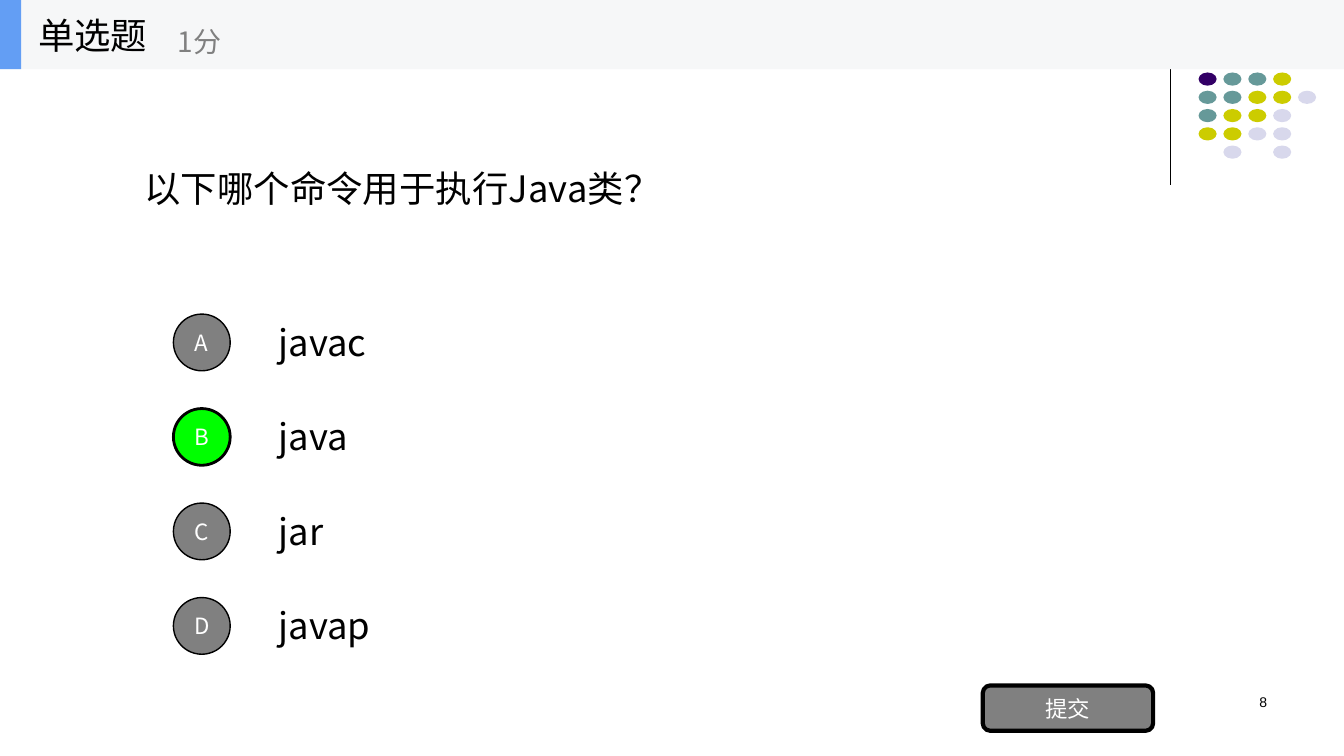
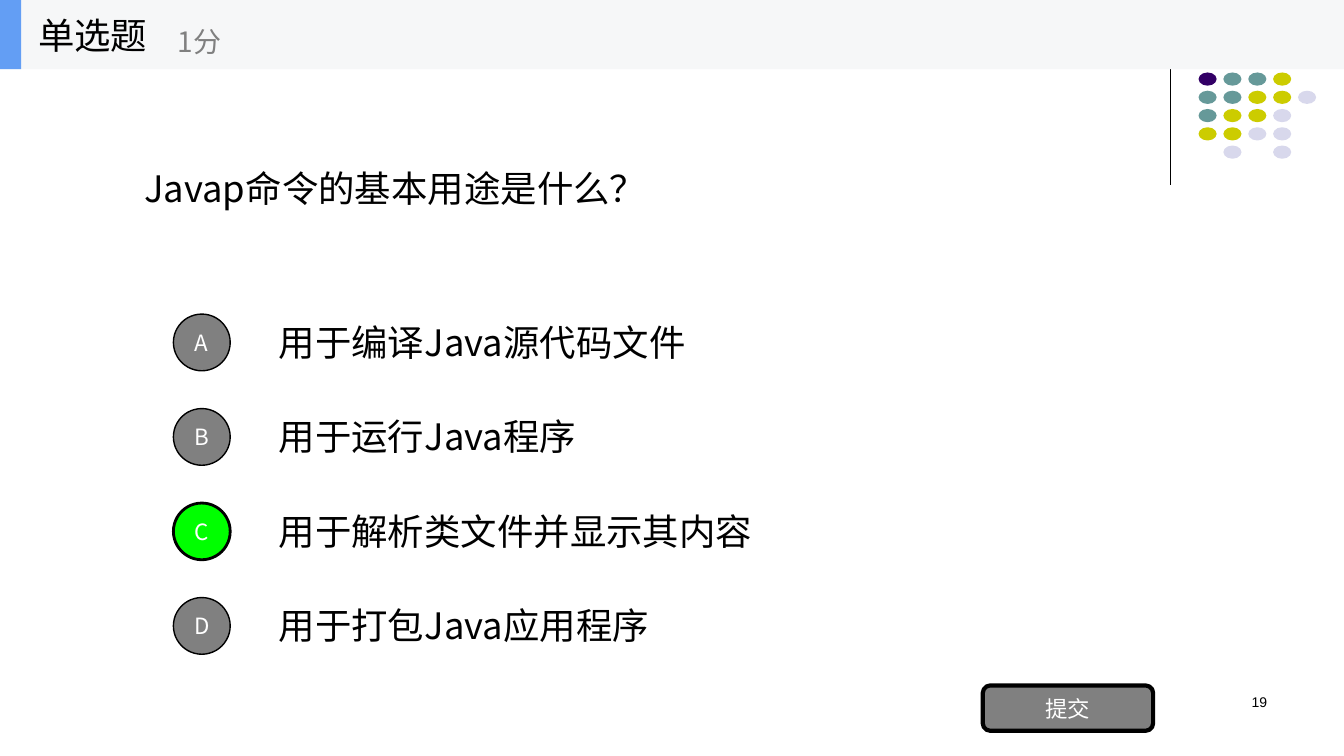
from lxml.etree import SubElement
from pptx import Presentation
from pptx.dml.color import RGBColor
from pptx.enum.lang import MSO_LANGUAGE_ID
from pptx.enum.shapes import MSO_CONNECTOR, MSO_SHAPE
from pptx.enum.text import MSO_ANCHOR, MSO_AUTO_SIZE, PP_ALIGN
from pptx.oxml.ns import qn
from pptx.util import Inches, Pt

WIDE, HIGH = Inches(13.33), Inches(7.5)
COLS, ROWS = 40, 24
HEAD = 2.2

HUES = {
    "black": "000000", "white": "FFFFFF", "gray": "808080", "green": "00FF00",
    "band": "F6F7F8", "blue": "639EF4", "plum": "330066", "teal": "669999",
    "lime": "CCCC00", "mist": "D8D8EC",
}
SANS = "Noto Sans CJK SC"
BODY = {"size": 26, "name": SANS, "hue": "black"}
MARK = {"size": 16, "name": SANS, "hue": "white"}
SCORE = {"size": 20, "name": SANS, "hue": "gray"}
PAGE = {"size": 10, "name": "Arial", "hue": "black"}

DOTS = ["PTTL", "TTLLM", "TLLM", "LLMM", " M M"]
KEYS = {"P": "plum", "T": "teal", "L": "lime", "M": "mist"}

QUIZ = [
    {"page": "8", "ask": ("以下哪个命令用于执行Java类？", 16.08), "key": "B",
     "picks": [("javac", 3.51), ("java", 2.97), ("jar", 2.22), ("javap", 3.66)]},
    {"page": "19", "ask": ("Javap命令的基本用途是什么？", 15.69), "key": "C",
     "picks": [("用于编译Java源代码文件", 12.84), ("用于运行Java程序", 9.57),
               ("用于解析类文件并显示其内容", 15), ("用于打包Java应用程序", 11.76)]},
]


def tint(hue):
    return RGBColor.from_string(HUES[hue])


def grid(col, row):
    return int(WIDE * col / COLS), int(HIGH * row / ROWS)


def area(col, row, cols, rows):
    return *grid(col, row), *grid(cols, rows)


def write(frame, text, style, align=PP_ALIGN.LEFT, **form):
    form = {"word_wrap": True, "vertical_anchor": MSO_ANCHOR.MIDDLE, **form}
    for name, value in form.items():
        setattr(frame, name, value)
    line = frame.paragraphs[0]
    line.alignment = align
    run = line.add_run()
    run.text = text
    looks = {"size": Pt(style["size"]), "name": style["name"],
             "language_id": MSO_LANGUAGE_ID.SIMPLIFIED_CHINESE}
    for name, value in looks.items():
        setattr(run.font, name, value)
    run.font.color.rgb = tint(style["hue"])
    SubElement(run.font._element, qn("a:ea"), typeface=style["name"])


def label(shapes, place, text, style, **form):
    write(shapes.add_textbox(*area(*place)).text_frame, text, style, **form)


def block(shapes, kind, place, hue, edge=0, text=""):
    shape = shapes.add_shape(kind, *area(*place))
    shape.shadow.inherit = False
    shape.fill.solid()
    shape.fill.fore_color.rgb = tint(hue)
    if edge:
        shape.line.color.rgb = tint("black")
        shape.line.width = Pt(edge)
    else:
        shape.line.fill.background()
    if text:
        write(shape.text_frame, text, MARK, PP_ALIGN.CENTER)


def corner(shapes):
    rule = shapes.add_connector(MSO_CONNECTOR.STRAIGHT, *grid(34.83, 0.54), *grid(34.83, 5.86))
    rule.line.color.rgb = tint("black")
    rule.line.width = Pt(0.75)
    SubElement(rule._element.spPr, qn("a:effectLst"))
    group = shapes.add_group_shape().shapes
    for row, keys in enumerate(DOTS):
        for col, key in enumerate(keys):
            if key in KEYS:
                place = (35.67 + 0.74 * col, 2.3 + 0.58 * row, 0.54, 0.42)
                block(group, MSO_SHAPE.OVAL, place, KEYS[key])


def header(shapes):
    group = shapes.add_group_shape().shapes
    block(group, MSO_SHAPE.RECTANGLE, (0, 0, COLS, HEAD), "band")
    block(group, MSO_SHAPE.RECTANGLE, (0, 0, 0.63, HEAD), "blue")
    label(group, (0.84, 0, 6.24, HEAD), "单选题", BODY)
    label(group, (5, 0.4, 7.5, HEAD - 0.4), "1分", SCORE)


def choice(shapes, rank, pick, key):
    text, cols = pick
    row, mark = 10 + 3 * rank, "ABCD"[rank]
    hue, edge = ("green", 2) if mark == key else ("gray", 1)
    label(shapes, (8, row, cols, 1.7), text, BODY, auto_size=MSO_AUTO_SIZE.SHAPE_TO_FIT_TEXT)
    block(shapes, MSO_SHAPE.OVAL, (5.16, row - 0.03, 1.69, 1.8), hue, edge, mark)


def build(deck, quiz):
    shapes = deck.slides.add_slide(deck.slide_layouts[6]).shapes
    corner(shapes)
    label(shapes, (28.68, 21.86, 9.33, 1.6), quiz["page"], PAGE,
          align=PP_ALIGN.RIGHT, vertical_anchor=MSO_ANCHOR.TOP)
    text, cols = quiz["ask"]
    label(shapes, (4, 5.12, cols, 1.7), text, BODY, auto_size=MSO_AUTO_SIZE.SHAPE_TO_FIT_TEXT)
    for rank, pick in enumerate(quiz["picks"]):
        choice(shapes, rank, pick, quiz["key"])
    block(shapes, MSO_SHAPE.ROUNDED_RECTANGLE, (29.25, 21.76, 5.07, 1.44), "gray", 3, "提交")
    header(shapes)


def main():
    deck = Presentation()
    for name, value in {"slide_width": WIDE, "slide_height": HIGH}.items():
        setattr(deck, name, value)
    for quiz in QUIZ:
        build(deck, quiz)
    deck.save("out.pptx")


if __name__ == "__main__":
    main()
